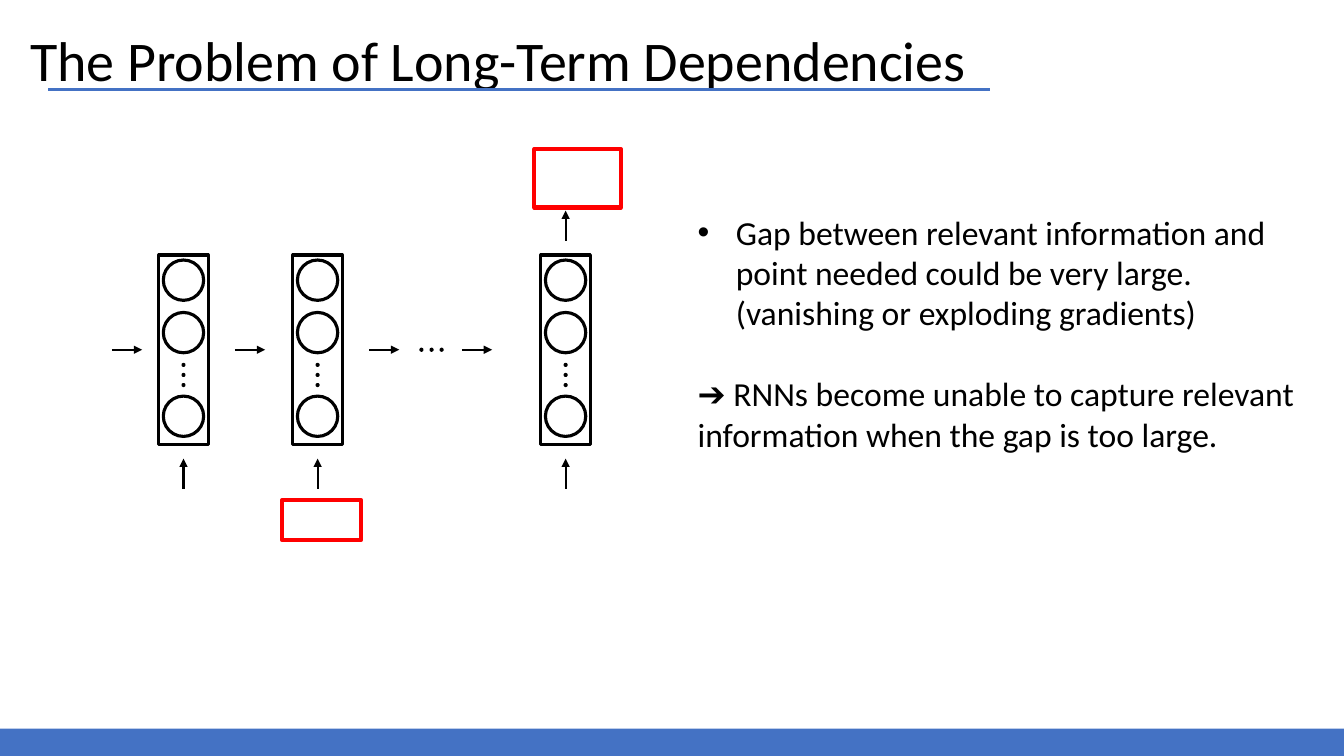
import pptx
import pptx.util
import pptx.dml.color
import pptx.enum.shapes
import pptx.enum.text
import pptx.oxml.ns
import lxml.etree

Inches = pptx.util.Inches
Pt = pptx.util.Pt
RGBColor = pptx.dml.color.RGBColor
Shape = pptx.enum.shapes.MSO_SHAPE

BLACK = RGBColor(0x00, 0x00, 0x00)
BLUE = RGBColor(0x44, 0x72, 0xC4)
RED = RGBColor(0xFF, 0x00, 0x00)
FONT = "Calibri"

TITLE = "The Problem of Long-Term Dependencies"
GAP_POINT = ("Gap between relevant information and point needed could be very large. "
             "(vanishing or exploding gradients)")
CONCLUSION = "➔ RNNs become unable to capture relevant information when the gap is too large."

LAYER_CENTERS = [1.82, 3.15, 5.61]
LAYER_TOP, LAYER_WIDTH, LAYER_HEIGHT = 2.53, 0.49, 1.88
NEURON_TOPS = [2.58, 3.1, 3.93]
NEURON_SIZE = 0.4
DOT_SIZE, DOT_GAP = 0.01, 0.1
LAYER_DOTS_Y = 3.72
TIME_DOTS_CENTER = (4.28, 3.47)
ARROW_LENGTH = 0.3
TIME_ARROW_STARTS = [1.11, 2.33, 3.66, 4.58]
TIME_ARROW_Y = 3.47
INPUT_ARROW_Y, OUTPUT_ARROW_Y = 4.85, 2.39
HIGHLIGHTS = [(5.3, 1.48, 0.86, 0.58), (2.8, 4.96, 0.78, 0.4)]

presentation = pptx.Presentation()
presentation.slide_width = Inches(13.33)
presentation.slide_height = Inches(7.5)
slide = presentation.slides.add_slide(presentation.slide_layouts[5])


def add_box(kind, left, top, width, height, fill=None, line=None, weight=2.25):
    shape = slide.shapes.add_shape(kind, Inches(left), Inches(top), Inches(width), Inches(height))
    shape.shadow.inherit = False
    if fill is None:
        shape.fill.background()
    else:
        shape.fill.solid()
        shape.fill.fore_color.rgb = fill
    if line is None:
        shape.line.fill.background()
    else:
        shape.line.color.rgb = line
        shape.line.width = Pt(weight)


def add_line(start, end, color=BLACK, weight=1.5, arrow=True):
    connector = slide.shapes.add_connector(
        pptx.enum.shapes.MSO_CONNECTOR.STRAIGHT,
        Inches(start[0]), Inches(start[1]), Inches(end[0]), Inches(end[1]))
    connector.line.color.rgb = color
    connector.line.width = Pt(weight)
    qn = pptx.oxml.ns.qn
    if arrow:
        outline = connector.line._get_or_add_ln()
        lxml.etree.SubElement(outline, qn("a:tailEnd"), type="triangle")
    lxml.etree.SubElement(connector._element.spPr, qn("a:effectLst"))


def add_dots(center_x, center_y, vertical):
    """Draw three dots evenly spaced about a centre."""
    for step in (-1, 0, 1):
        x = center_x + (0 if vertical else step * DOT_GAP)
        y = center_y + (step * DOT_GAP if vertical else 0)
        add_box(Shape.OVAL, x - DOT_SIZE / 2, y - DOT_SIZE / 2, DOT_SIZE, DOT_SIZE, BLACK, BLACK)


def write_text(paragraph, text, size=24, bullet=None, indent=0.38, space_before=0):
    if bullet:
        properties = paragraph._p.get_or_add_pPr()
        properties.set("marL", str(Inches(indent)))
        properties.set("indent", str(-Inches(indent)))
        qn = pptx.oxml.ns.qn
        lxml.etree.SubElement(properties, qn("a:buFont"), typeface="Arial")
        lxml.etree.SubElement(properties, qn("a:buChar"), char=bullet)
    paragraph.alignment = pptx.enum.text.PP_ALIGN.LEFT
    paragraph.space_before = Pt(space_before)
    run = paragraph.add_run()
    run.text = text
    run.font.name = FONT
    run.font.size = Pt(size)
    run.font.color.rgb = BLACK


def place(shape, left, top, width, height):
    shape.left, shape.top = Inches(left), Inches(top)
    shape.width, shape.height = Inches(width), Inches(height)
    frame = shape.text_frame
    frame.word_wrap = True
    frame.auto_size = pptx.enum.text.MSO_AUTO_SIZE.NONE
    frame.vertical_anchor = pptx.enum.text.MSO_ANCHOR.TOP
    return frame


title_frame = place(slide.shapes.title, 0.2, 0.2, 9.82, 0.77)
write_text(title_frame.paragraphs[0], TITLE, size=40)
add_line((0.48, 0.89), (9.82, 0.89), color=BLUE, weight=2.25, arrow=False)
add_box(Shape.RECTANGLE, 0, 7.23, 13.33, 0.27, fill=BLUE)

for center in LAYER_CENTERS:
    for top in NEURON_TOPS:
        add_box(Shape.OVAL, center - NEURON_SIZE / 2, top, NEURON_SIZE, NEURON_SIZE, line=BLACK)
    add_dots(center, LAYER_DOTS_Y, vertical=True)
    add_box(Shape.RECTANGLE, center - LAYER_WIDTH / 2, LAYER_TOP, LAYER_WIDTH, LAYER_HEIGHT,
            line=BLACK)
    add_line((center, INPUT_ARROW_Y), (center, INPUT_ARROW_Y - ARROW_LENGTH))

output_x = LAYER_CENTERS[-1]
add_line((output_x, OUTPUT_ARROW_Y), (output_x, OUTPUT_ARROW_Y - ARROW_LENGTH))
for start in TIME_ARROW_STARTS:
    add_line((start, TIME_ARROW_Y), (start + ARROW_LENGTH, TIME_ARROW_Y))
add_dots(*TIME_DOTS_CENTER, vertical=False)

for bounds in HIGHLIGHTS:
    add_box(Shape.RECTANGLE, *bounds, line=RED, weight=3)

body_frame = place(slide.shapes.add_textbox(0, 0, 0, 0), 6.82, 2.05, 6.25, 2.52)
write_text(body_frame.paragraphs[0], GAP_POINT, bullet="•")
write_text(body_frame.add_paragraph(), CONCLUSION, space_before=29)

presentation.save("out.pptx")
